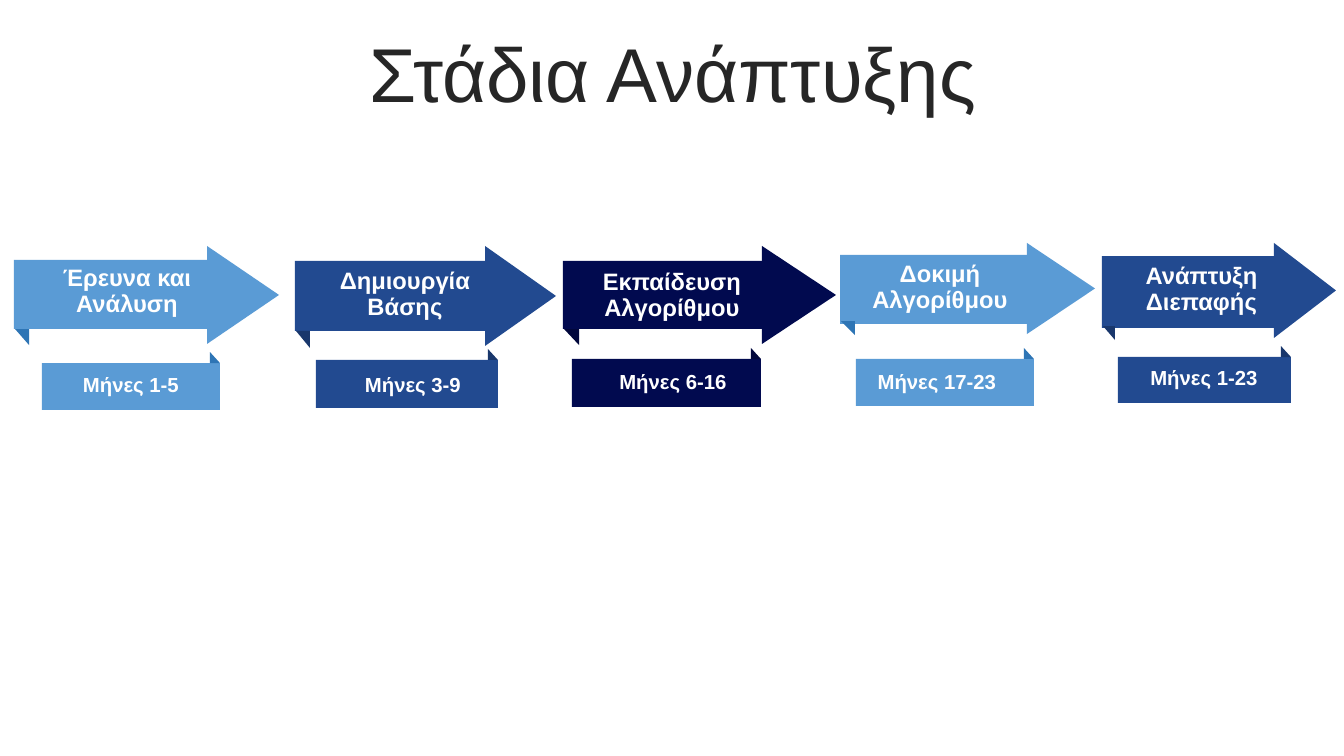
import pptx
import pptx.util
import pptx.dml.color
import pptx.enum.shapes
import pptx.enum.text

RGBColor = pptx.dml.color.RGBColor
MSO_SHAPE = pptx.enum.shapes.MSO_SHAPE
PX = 914400 / 122
SKY, SKY_FOLD = RGBColor(0x5A, 0x9B, 0xD5), RGBColor(0x2E, 0x75, 0xB5)
BLUE, BLUE_FOLD = RGBColor(0x22, 0x4A, 0x90), RGBColor(0x19, 0x37, 0x6C)
NAVY, NAVY_FOLD = RGBColor(0x01, 0x0A, 0x4F), RGBColor(0x01, 0x07, 0x3B)
WHITE = RGBColor(0xFF, 0xFF, 0xFF)
CHARCOAL = RGBColor(0x26, 0x26, 0x26)

deck = pptx.Presentation()
deck.slide_width = round(1344 * PX)
deck.slide_height = round(756 * PX)
slide = deck.slides.add_slide(deck.slide_layouts[6])


def add_part(preset, frame, color, rotation=0):
    part = slide.shapes.add_shape(preset, *[round(v * PX) for v in frame])
    part.rotation = rotation
    part.fill.solid()
    part.fill.fore_color.rgb = color
    part.line.fill.background()
    part.shadow.inherit = False


def add_text(text, frame, size, color, bold, spacing):
    box = slide.shapes.add_textbox(*[round(v * PX) for v in frame])
    box.text_frame.word_wrap = True
    paragraph = box.text_frame.paragraphs[0]
    paragraph.text = text
    paragraph.alignment = pptx.enum.text.PP_ALIGN.CENTER
    paragraph.line_spacing = spacing
    font = paragraph.runs[0].font
    font.name = "Arial"
    font.size = pptx.util.Pt(size)
    font.bold = bold
    font.color.rgb = color
    return box


title = add_text("Στάδια Ανάπτυξης", (35, 38, 1276, 79), 45, CHARCOAL, False, 0.9)
title.text_frame.vertical_anchor = pptx.enum.text.MSO_ANCHOR.MIDDLE

stages = [
    dict(name="Έρευνα και Ανάλυση", months="Μήνες 1-5", color=SKY, fold_color=SKY_FOLD,
         body=(14, 260, 193, 69), head=(246, 72, 98), fold=(329, 14, 16),
         name_at=(18, 259, 218), tag=(42, 363, 178, 47), months_at=(54, 368)),
    dict(name="Δημιουργία Βάσης", months="Μήνες 3-9", color=BLUE, fold_color=BLUE_FOLD,
         body=(295, 261, 190, 70), head=(246, 71, 100), fold=(331, 14, 17),
         name_at=(294, 262, 222), tag=(316, 360, 182, 48), months_at=(336, 368)),
    dict(name="Εκπαίδευση Αλγορίθμου", months="Μήνες 6-16", color=NAVY, fold_color=NAVY_FOLD,
         body=(563, 261, 199, 68), head=(246, 74, 98), fold=(329, 15, 16),
         name_at=(555, 263, 234), tag=(572, 359, 189, 48), months_at=(596, 365)),
    dict(name="Δοκιμή Αλγορίθμου", months="Μήνες 17-23", color=SKY, fold_color=SKY_FOLD,
         body=(840, 255, 187, 69), head=(243, 68, 91), fold=(321, 14, 14),
         name_at=(834, 255, 212), tag=(856, 359, 178, 47), months_at=(860, 365)),
    dict(name="Ανάπτυξη Διεπαφής", months="Μήνες 1-23", color=BLUE, fold_color=BLUE_FOLD,
         body=(1102, 256, 172, 72), head=(243, 62, 95), fold=(326, 12, 14),
         name_at=(1096, 257, 211), tag=(1118, 357, 173, 46), months_at=(1127, 361)),
]

for stage in stages:
    color, fold_color = stage["color"], stage["fold_color"]

    body_left, body_top, body_width, body_height = stage["body"]
    add_part(MSO_SHAPE.RECTANGLE, stage["body"], color)
    fold_top, fold_width, fold_height = stage["fold"]
    add_part(MSO_SHAPE.RIGHT_TRIANGLE,
             (body_left + 1, fold_top, fold_width, fold_height), fold_color, 180)
    head_top, head_length, head_span = stage["head"]
    turn = (head_span - head_length) / 2
    add_part(MSO_SHAPE.ISOSCELES_TRIANGLE,
             (body_left + body_width - turn, head_top + turn, head_span, head_length),
             color, 90)
    add_text(stage["name"], (*stage["name_at"], 65), 14, WHITE, True, 0.93)

    tag_left, tag_top, tag_width, tag_height = stage["tag"]
    add_part(MSO_SHAPE.RECTANGLE, stage["tag"], color)
    add_part(MSO_SHAPE.RIGHT_TRIANGLE,
             (tag_left + tag_width - 10, tag_top - 11, 10, 11), fold_color)
    add_text(stage["months"], (*stage["months_at"], 154, 35), 12, WHITE, True, 0.93)

deck.save("out.pptx")
